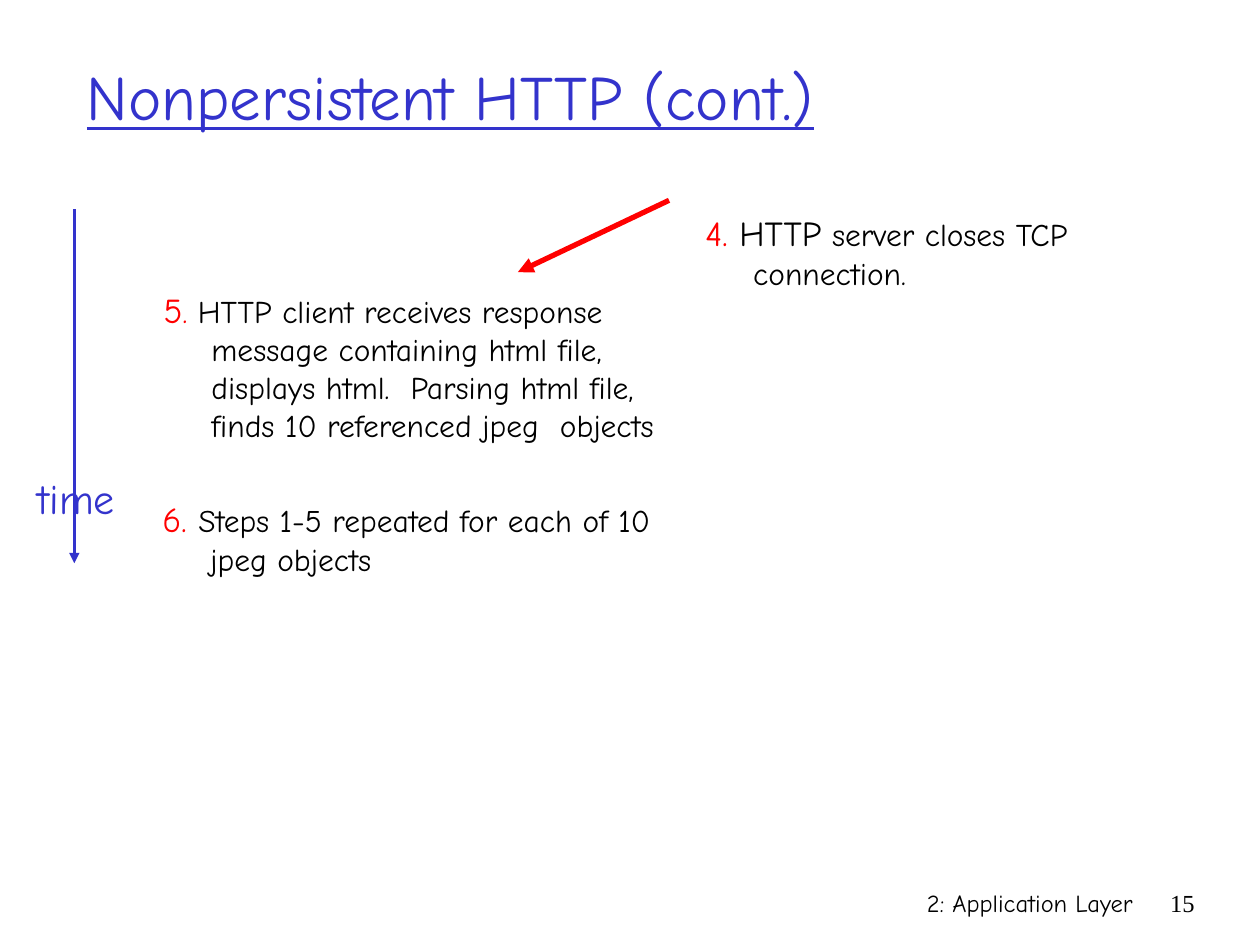
from lxml.etree import SubElement
from pptx import Presentation
from pptx.dml.color import RGBColor as RGB
from pptx.enum.shapes import MSO_CONNECTOR as CONN
from pptx.enum.text import MSO_ANCHOR as ANCHOR, PP_ALIGN as ALIGN
from pptx.oxml.ns import qn
from pptx.util import Inches, Pt

COLORS = {"blue": "3333CC", "red": "FF0000", "black": "000000"}
COMIC, TIMES = "Comic Neue", "Times New Roman"

prs = Presentation()
prs.slide_width, prs.slide_height = Inches(10), Inches(7.5)
COL, ROW = prs.slide_width / 100, prs.slide_height / 75
s = prs.slides.add_slide(prs.slide_layouts[5])


def place(sp, x, y, w, h):
    box = {"left": x * COL, "top": y * ROW, "width": w * COL, "height": h * ROW}
    for name, value in box.items():
        setattr(sp, name, int(value))


def write(sp, runs, align=ALIGN.LEFT, anchor=ANCHOR.TOP, wrap=True):
    tf = sp.text_frame
    tf.word_wrap, tf.vertical_anchor = wrap, anchor
    p = tf.paragraphs[0]
    p.alignment = align
    for text, size, color, font in runs:
        r = p.add_run()
        r.text = text
        for name, value in {"size": Pt(size), "name": font}.items():
            setattr(r.font, name, value)
        r.font.color.rgb = RGB.from_string(COLORS[color])
    return p


title = s.shapes.title
place(title, 5.9, 2.8, 85, 9.5)
p = write(title, [("Nonpersistent HTTP (cont.)", 36, "blue", COMIC)], anchor=ANCHOR.MIDDLE)
p.runs[0].font.underline = True

footers = [
    (59.2, 31.7, "2: Application Layer", COMIC),
    (90.8, 5, "15", TIMES),
]
for x, w, text, font in footers:
    sp = s.shapes.add_textbox(0, 0, 0, 0)
    place(sp, x, 70, w, 5)
    write(sp, [(text, 14, "black", font)], align=ALIGN.RIGHT)

steps = [
    (12, 22.4, 16.8, [
        ("5", 20, "red"),
        (".", 18, "red"),
        (" HTTP client receives response message containing html file, "
         "displays html.  Parsing html file, finds 10 referenced jpeg  objects", 18, "black"),
    ]),
    (11.9, 39, 7.3, [
        ("6. ", 20, "red"),
        ("Steps 1-5 repeated for each of 10 jpeg objects", 18, "black"),
    ]),
    (55, 16.3, 8, [
        ("4.", 20, "red"),
        (" HTTP", 20, "black"),
        (" server closes TCP connection.", 18, "black"),
    ]),
]
for x, y, h, runs in steps:
    sp = s.shapes.add_textbox(0, 0, 0, 0)
    place(sp, x, y, 41.7, h)
    p = write(sp, [(*run, COMIC) for run in runs])
    p.space_before = Pt(4)
    indent = int(3.8 * COL)
    for name, value in {"marL": indent, "indent": -indent}.items():
        p._p.get_or_add_pPr().set(name, str(value))

arrows = [
    ((5.9, 16.6), (5.9, 44.7), "blue", 1.5),
    ((53.1, 15.9), (41.1, 21.6), "red", 3),
]
for (x1, y1), (x2, y2), color, width in arrows:
    ends = [int(v) for v in (x1 * COL, y1 * ROW, x2 * COL, y2 * ROW)]
    line = s.shapes.add_connector(CONN.STRAIGHT, *ends)
    line.line.color.rgb = RGB.from_string(COLORS[color])
    line.line.width = Pt(width)
    SubElement(line.line._get_or_add_ln(), qn("a:tailEnd"), type="triangle")
    SubElement(line._element.spPr, qn("a:effectLst"))

sp = s.shapes.add_textbox(0, 0, 0, 0)
place(sp, 1.6, 37, 8.9, 5)
write(sp, [("time", 24, "blue", COMIC)], align=ALIGN.CENTER, wrap=False)

prs.save("out.pptx")
